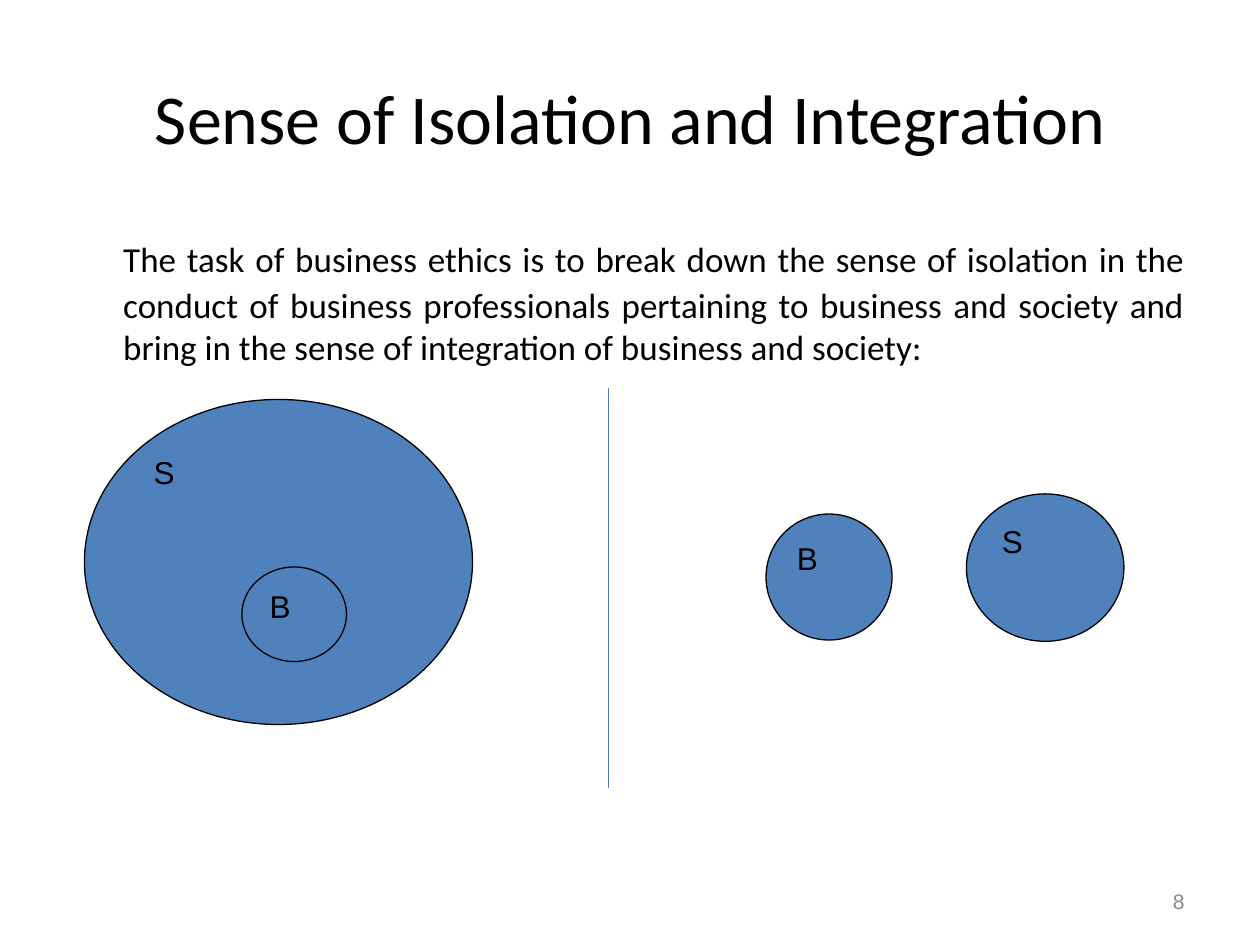
from pptx import Presentation
from pptx.dml.color import RGBColor
from pptx.enum.shapes import MSO_CONNECTOR as CONN, MSO_SHAPE as SHAPE
from pptx.enum.text import MSO_ANCHOR as ANCHOR, PP_ALIGN as ALIGN
from pptx.oxml.ns import qn
from pptx.util import Inches, Pt
from lxml import etree

THEME = {
    "ink": RGBColor.from_string("000000"),
    "muted": RGBColor.from_string("898989"),
    "fill": RGBColor.from_string("4F81BD"),
    "divider": RGBColor.from_string("4A7EBB"),
    "line": Pt(0.75),
    "title": {"name": "Calibri", "size": Pt(40)},
    "tab": {"name": "Calibri", "size": Pt(32)},
    "body": {"name": "Calibri", "size": Pt(20)},
    "label": {"name": "Arial", "size": Pt(18)},
    "number": {"name": "Arial", "size": Pt(12)},
}


def add_run(p, text, style, color="ink"):
    r = p.add_run()
    r.text = text
    for key, value in THEME[style].items():
        setattr(r.font, key, value)
    r.font.color.rgb = THEME[color]


def set_frame(sp, anchor, align):
    """Set wrapping and alignment, and return the first paragraph."""
    tf = sp.text_frame
    tf.word_wrap = True
    tf.vertical_anchor = anchor
    p = tf.paragraphs[0]
    p.alignment = align
    return p


prs = Presentation()
prs.slide_width, prs.slide_height = Inches(10), Inches(7.5)
s = prs.slides.add_slide(prs.slide_layouts[6])

title = s.shapes.add_textbox(Inches(0.5), Inches(0.3), Inches(9), Inches(1.25))
p = set_frame(title, ANCHOR.MIDDLE, ALIGN.CENTER)
add_run(p, "Sense of Isolation and Integration", "title")

body = s.shapes.add_textbox(Inches(0.5), Inches(1.67), Inches(9), Inches(4.75))
p = set_frame(body, ANCHOR.TOP, ALIGN.JUSTIFY)
pPr = p._p.get_or_add_pPr()
pPr.set("marL", str(Inches(0.38)))
pPr.set("indent", str(Inches(-0.38)))
add_run(p, "\t", "tab")  # the larger tab sets the height of the first line
add_run(p, "The task of business ethics is to break down the sense of isolation in the "
           "conduct of business professionals pertaining to business and society and "
           "bring in the sense of integration of business and society: ", "body")

number = s.shapes.add_textbox(Inches(7.17), Inches(6.95), Inches(2.33), Inches(0.4))
p = set_frame(number, ANCHOR.MIDDLE, ALIGN.RIGHT)
add_run(p, "8", "number", "muted")

# S is society, B is business: nested on the left, apart on the right
circles = [
    ("S", 0.67, 3.17, 3.08, 2.58),
    ("B", 6.08, 4.08, 1, 1),
    ("B", 1.92, 4.5, 0.83, 0.75),
    ("S", 7.67, 3.92, 1.25, 1.17),
]
for label, *box in circles:
    sp = s.shapes.add_shape(SHAPE.OVAL, *map(Inches, box))
    sp.shadow.inherit = False
    sp.fill.solid()
    sp.fill.fore_color.rgb = THEME["fill"]
    sp.line.color.rgb = THEME["ink"]
    sp.line.width = THEME["line"]
    p = set_frame(sp, ANCHOR.TOP, ALIGN.LEFT)
    add_run(p, label, "label")

divider = s.shapes.add_connector(
    CONN.STRAIGHT, Inches(4.83), Inches(3.08), Inches(4.83), Inches(6.25))
divider.line.color.rgb = THEME["divider"]
divider.line.width = THEME["line"]
etree.SubElement(divider._element.spPr, qn("a:effectLst"))

prs.save("out.pptx")
